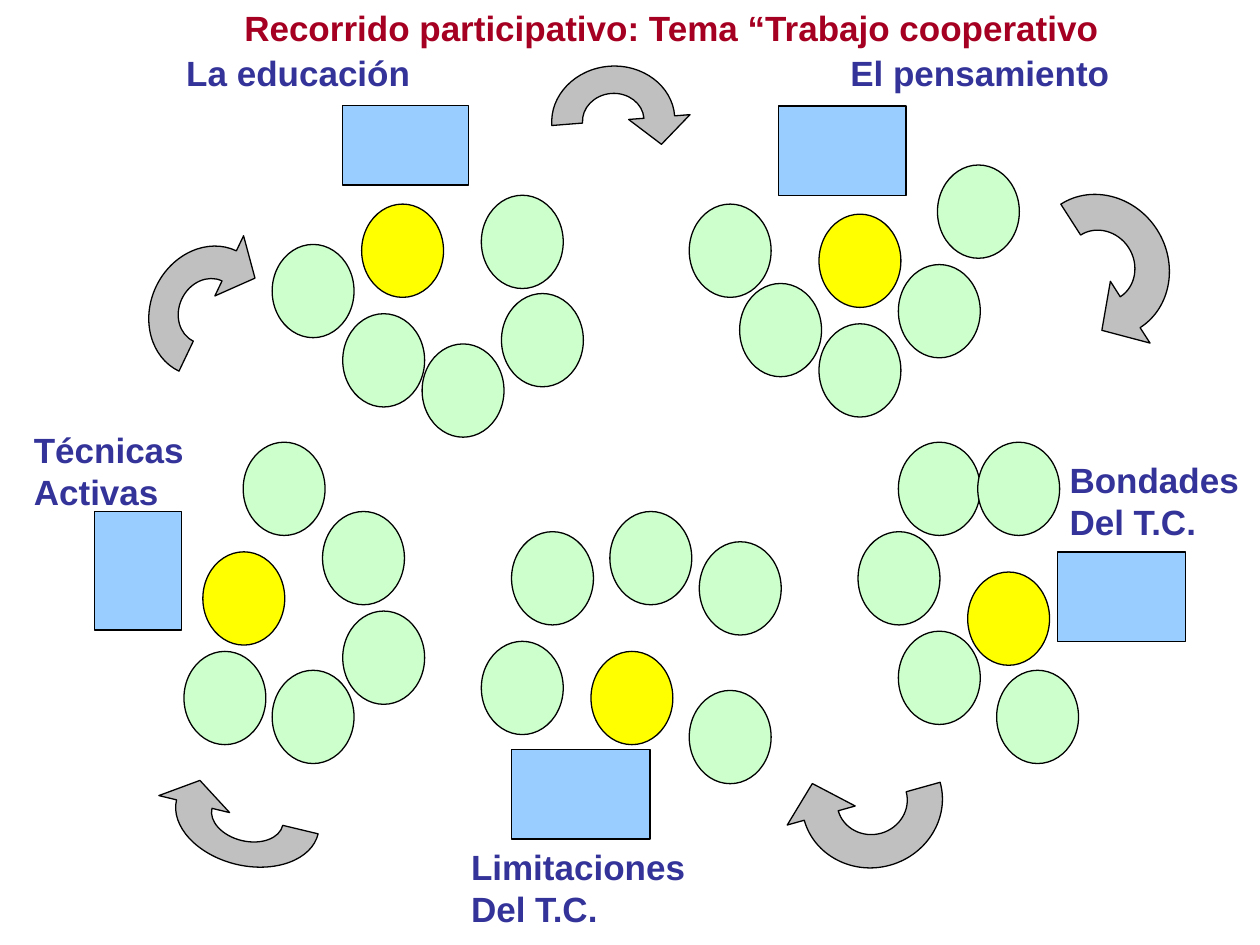
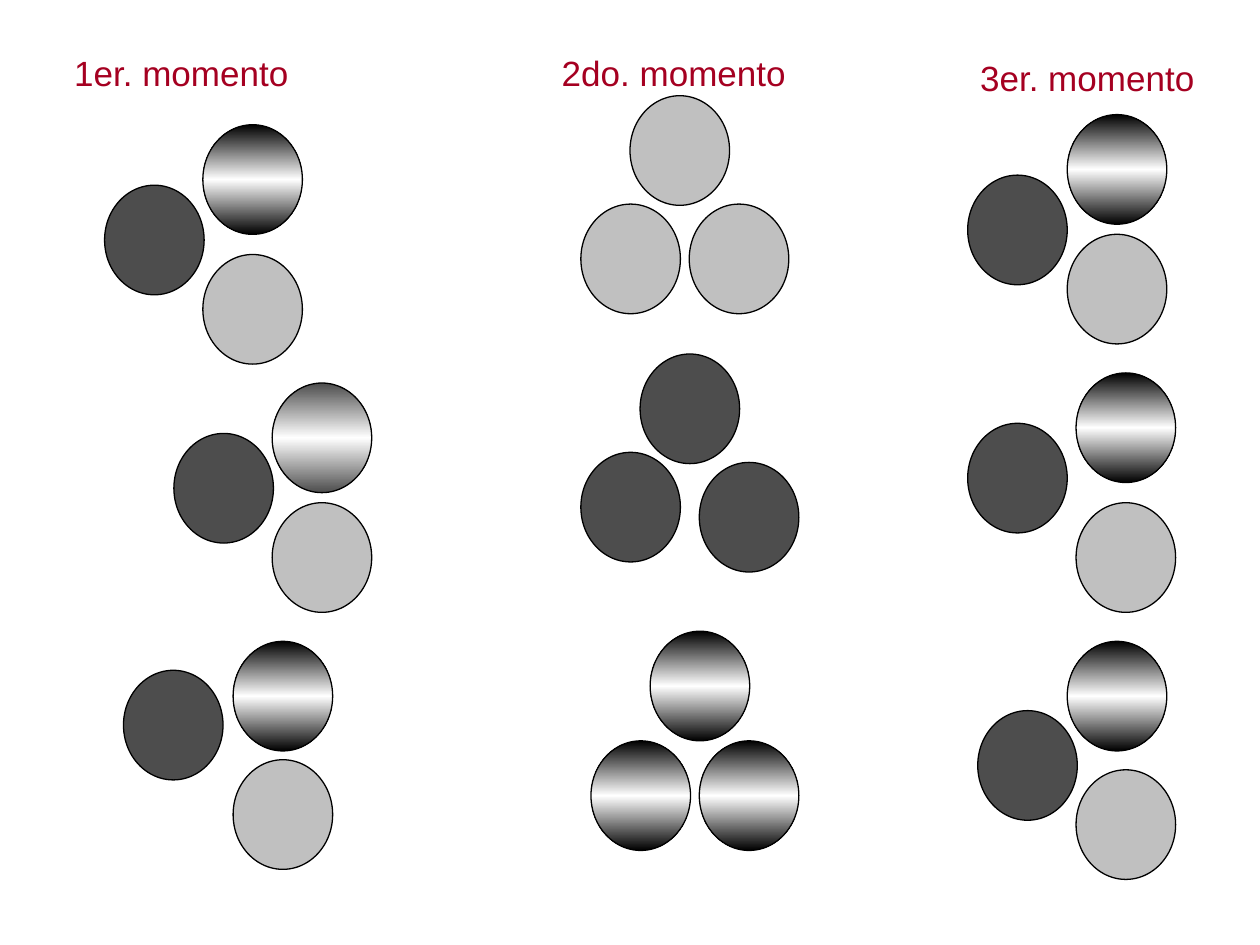
from copy import deepcopy

from pptx import Presentation
from pptx.dml.color import RGBColor
from pptx.enum.shapes import MSO_SHAPE as SHAPE
from pptx.enum.text import MSO_AUTO_SIZE as AUTO_SIZE
from pptx.oxml.ns import qn
from pptx.util import Inches, Pt

RED = RGBColor(0xA5, 0x00, 0x21)
NAVY = RGBColor(0x33, 0x33, 0x99)
BLUE = RGBColor(0x99, 0xCC, 0xFF)
YELLOW = RGBColor(0xFF, 0xFF, 0x00)
GREEN = RGBColor(0xCC, 0xFF, 0xCC)
SILVER = RGBColor(0xC0, 0xC0, 0xC0)
DARK = RGBColor(0x4D, 0x4D, 0x4D)
BLACK = RGBColor(0x00, 0x00, 0x00)
WHITE = RGBColor(0xFF, 0xFF, 0xFF)

FONT = "Arial"
SEAT = (0.65, 0.74)
PERSON = (0.79, 0.87)
BANDED = (BLACK, WHITE, BLACK)
SOFT_BANDED = (DARK, WHITE, DARK)

# Work tables: origin, label, label box, desk box, leader, members
TABLES = [
    ((1, 0), "La educación", (0.38, 0.36, 2.17, 0.44), (1.72, 0.84, 1, 0.63), (1.87, 1.62),
     [(2.35, 2.73), (1.72, 2.49), (2.98, 2.33), (1.16, 1.94), (2.82, 1.55)]),
    ((5, 0), "El pensamiento", (1.65, 0.36, 2.28, 0.44), (1.18, 0.84, 1.01, 0.71), (1.5, 1.7),
     [(1.5, 2.57), (2.13, 2.1), (2.44, 1.31), (0.47, 1.62), (0.87, 2.25)]),
    ((0, 3), "Técnicas\nActivas", (0.17, 0.35, 1.39, 0.77), (0.75, 1.06, 0.69, 0.94), (1.61, 1.38),
     [(2.56, 1.06), (2.16, 2.32), (1.46, 2.17), (2.72, 1.85), (1.93, 0.51)]),
    ((3, 4), "Limitaciones\nDel T.C.", (0.64, 2.66, 1.9, 0.77), (1.06, 1.95, 1.1, 0.71), (1.69, 1.17),
     [(0.82, 1.09), (1.06, 0.22), (1.84, 0.06), (2.55, 0.3), (2.47, 1.48)]),
    ((6, 3), "Bondades\nDel T.C.", (2.39, 0.59, 1.57, 0.77), (2.39, 1.38, 1.02, 0.71), (1.68, 1.54),
     [(1.13, 0.51), (1.76, 0.51), (0.81, 1.22), (1.13, 2.01), (1.91, 2.32)]),
]

# Rotation arrows: box and angle
ARROWS = [
    ((0.98, 2.02, 1.19, 0.68), 295.5),
    ((8.23, 1.7, 1.31, 0.8), 57.3),
    ((6.26, 6.11, 1.26, 0.79), 164.4),
    ((1.22, 6.27, 1.3, 0.58), 193.5),
    ((4.37, 0.52, 1.1, 0.65), 355.5),
]

# Moments: left edge, title, title box, groups of (fills, places)
MIXED = (DARK, BANDED, SILVER)
MOMENTS = [
    (0, "1er. momento", (0.49, 0.36, 1.91, 0.44), [
        (MIXED, [(0.83, 1.47), (1.61, 0.99), (1.61, 2.02)]),
        ((DARK, SOFT_BANDED, SILVER), [(1.38, 3.44), (2.16, 3.04), (2.16, 3.99)]),
        (MIXED, [(0.98, 5.32), (1.85, 5.09), (1.85, 6.03)])]),
    (4, "2do. momento", (0.36, 0.36, 1.98, 0.44), [
        ((SILVER,) * 3, [(1, 0.76), (0.61, 1.62), (1.47, 1.62)]),
        ((DARK,) * 3, [(1.08, 2.81), (0.61, 3.59), (1.55, 3.67)]),
        ((BANDED,) * 3, [(1.16, 5.01), (0.69, 5.88), (1.55, 5.88)])]),
    (7, "3er. momento", (0.68, 0.4, 1.91, 0.44), [
        (MIXED, [(0.68, 1.39), (1.47, 0.91), (1.47, 1.86)]),
        (MIXED, [(0.68, 3.36), (1.54, 2.96), (1.54, 3.99)]),
        (MIXED, [(0.76, 5.64), (1.47, 5.09), (1.54, 6.11)])]),
]


def paint(sp, fill):
    """Fill with one colour or, for a tuple, a vertical three-stop gradient."""
    sp.shadow.inherit = False
    sp.line.color.rgb = BLACK
    sp.line.width = Pt(0.75)
    if isinstance(fill, RGBColor):
        sp.fill.solid()
        sp.fill.fore_color.rgb = fill
        return
    sp.fill.gradient()
    sp.fill.gradient_angle = 90
    stops = sp._element.spPr.find(qn("a:gradFill")).find(qn("a:gsLst"))
    stops.insert(1, deepcopy(stops[0]))
    for i, (stop, color) in enumerate(zip(sp.fill.gradient_stops, fill)):
        stop.position = i / 2
        stop.color.rgb = color


def add_shape(slide, kind, x, y, w, h, fill):
    sp = slide.shapes.add_shape(kind, Inches(x), Inches(y), Inches(w), Inches(h))
    paint(sp, fill)


def add_text(slide, text, x, y, w, h, color=RED, size=20, bold=False):
    tb = slide.shapes.add_textbox(Inches(x), Inches(y), Inches(w), Inches(h))
    tf = tb.text_frame
    tf.word_wrap = False
    tf.auto_size = AUTO_SIZE.SHAPE_TO_FIT_TEXT
    tf.text = text
    for p in tf.paragraphs:
        p.font.name = FONT
        p.font.size = Pt(size)
        p.font.bold = bold
        p.font.color.rgb = color


def half_ring(radius):
    """Bezier points of a half circle round (4, 4), from left to right."""
    k = 0.55 * radius
    left, top, right = 4 - radius, 4 - radius, 4 + radius
    return [(left, 4), (left, 4 - k), (4 - k, top), (4, top),
            (4 + k, top), (right, 4 - k), (right, 4)]


def bend(sp, starts):
    """Turn three line segments from each start into one curve."""
    outline = sp._element.spPr.find(".//" + qn("a:path"))
    lines = outline.findall(qn("a:lnTo"))
    for start in starts:
        curve = outline.makeelement(qn("a:cubicBezTo"))
        lines[start].addprevious(curve)
        for line in lines[start:start + 3]:
            curve.append(line[0])
            outline.remove(line)


def add_turn_arrow(slide, x, y, w, h, angle):
    """U-turn arrow laid out on a grid of 9 by 6 cells."""
    outline = half_ring(4) + [(9, 4), (7, 6), (5, 4)] + half_ring(2)[::-1]
    points = [(Inches(x + w * u / 9), Inches(y + h * v / 6)) for u, v in outline]
    builder = slide.shapes.build_freeform(*points[0])
    builder.add_line_segments(points[1:], close=True)
    sp = builder.convert_to_shape()
    bend(sp, (0, 3, 10, 13))
    sp.rotation = angle
    paint(sp, SILVER)


def add_work_table(slide, origin, label, label_box, desk, leader, members):
    x0, y0 = origin

    def place(box):
        return (x0 + box[0], y0 + box[1], *box[2:])

    add_shape(slide, SHAPE.RECTANGLE, *place(desk), BLUE)
    add_shape(slide, SHAPE.OVAL, *place(leader), *SEAT, YELLOW)
    for member in members:
        add_shape(slide, SHAPE.OVAL, *place(member), *SEAT, GREEN)
    add_text(slide, label, *place(label_box), color=NAVY, bold=True)


def add_moment(slide, left, title, title_box, groups):
    for fills, places in groups:
        for fill, (x, y) in zip(fills, places):
            add_shape(slide, SHAPE.OVAL, left + x, y, *PERSON, fill)
    x, *rest = title_box
    add_text(slide, title, left + x, *rest)


def build_tour(slide):
    for table in TABLES:
        add_work_table(slide, *table)
    for box, angle in ARROWS:
        add_turn_arrow(slide, *box, angle)
    add_text(slide, "Recorrido participativo: Tema “Trabajo cooperativo",
             1.84, 0, 7.02, 0.44, bold=True)


def build_moments(slide):
    for moment in MOMENTS:
        add_moment(slide, *moment)


def main():
    prs = Presentation()
    prs.slide_width, prs.slide_height = Inches(10), Inches(7.5)
    for build in (build_tour, build_moments):
        build(prs.slides.add_slide(prs.slide_layouts[6]))
    prs.save("out.pptx")


if __name__ == "__main__":
    main()
